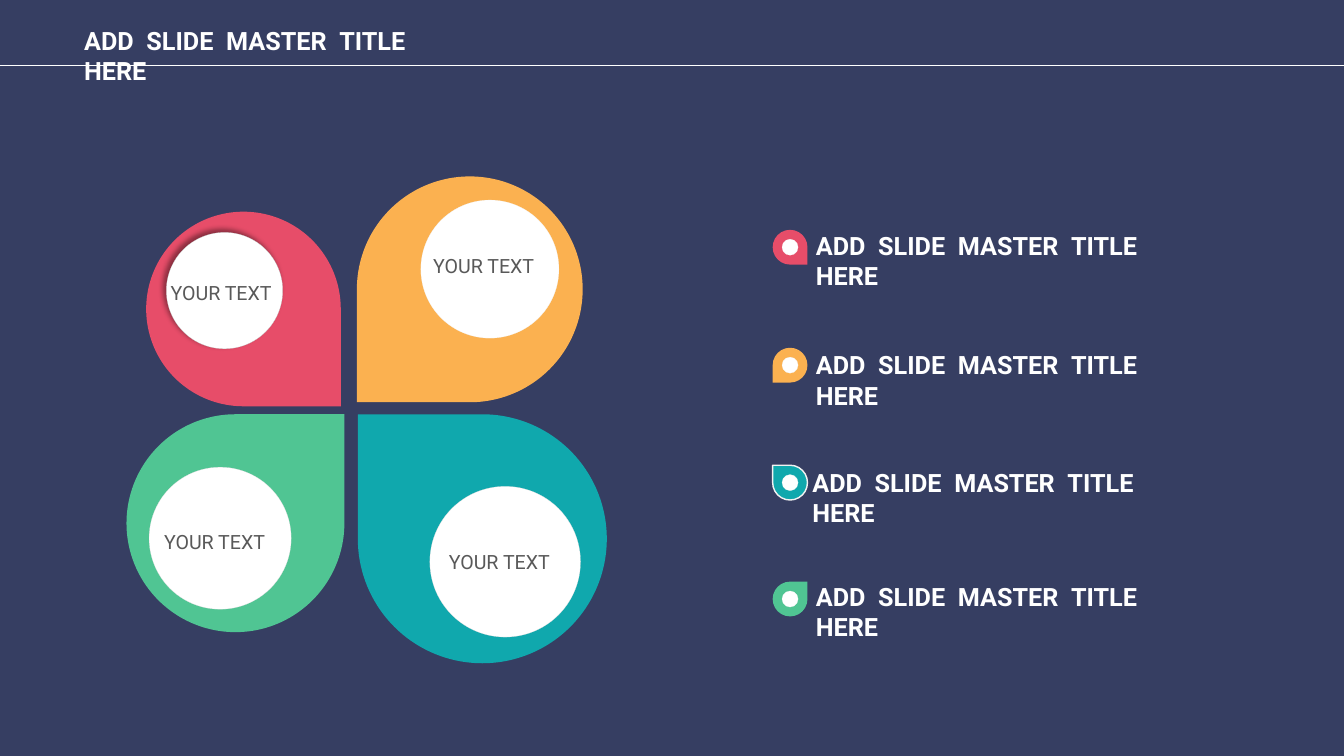
"""Build a four-petal infographic slide with a matching legend."""
import lxml.etree
import pptx
import pptx.dml.color
import pptx.enum.shapes
import pptx.enum.text
import pptx.oxml.ns
import pptx.util

Pt = pptx.util.Pt
RGBColor = pptx.dml.color.RGBColor
SHAPE = pptx.enum.shapes.MSO_SHAPE
ALIGN = pptx.enum.text.PP_ALIGN
ANCHOR = pptx.enum.text.MSO_ANCHOR
qn = pptx.oxml.ns.qn

NAVY = RGBColor(0x36, 0x3E, 0x62)
RED = RGBColor(0xE7, 0x4D, 0x69)
ORANGE = RGBColor(0xFB, 0xB1, 0x50)
TEAL = RGBColor(0x10, 0xA8, 0xAD)
GREEN = RGBColor(0x50, 0xC5, 0x93)
WHITE = RGBColor(0xFF, 0xFF, 0xFF)
GREY = RGBColor(0x59, 0x59, 0x59)
PALE = RGBColor(0xF2, 0xF2, 0xF2)
LIGHT = RGBColor(0xD9, 0xD9, 0xD9)
SILVER = RGBColor(0xBF, 0xBF, 0xBF)

HEADING = "ADD SLIDE MASTER TITLE HERE"
HEADING_FONT = {"name": "Roboto", "size": Pt(36), "bold": True}
LABEL_FONT = {"name": "Roboto", "size": Pt(28), "bold": False}
HEADING_SIZE = (570, 56)
LABEL_SIZE = (158, 48)
WORD_GAP = 9

POINT_TURN = {GREEN: 0, RED: 90, ORANGE: 180, TEAL: 270}
PETALS = [
    (GREEN, (180.7, 591.8, 311.3), (213, 667.4, 203), LIGHT, (227.5, 749.5)),
    (TEAL, (511.2, 591.8, 355.7), (614, 694.8, 215.3), LIGHT, (634.3, 778.3)),
    (RED, (208.8, 302.4, 278), (237.6, 332, 166.3), SILVER, (236.9, 394.6)),
    (ORANGE, (509.8, 252, 322.6), (601.2, 285.8, 197.3), PALE, (612, 355.7)),
]
MARKER_LEFT, MARKER_SIZE, DOT_SIZE = 1103.8, 49.7, 23
LEGEND = [
    (RED, 328.3, (1158.5, 321.8)),
    (ORANGE, 496.8, (1158.5, 492.5)),
    (TEAL, 664.6, (1153.4, 660.2)),
    (GREEN, 830.9, (1158.5, 823)),
]


def add_run(p, text, fmt, color):
    """Add one formatted run to a paragraph."""
    r = p.add_run()
    r.text = text
    for key, value in fmt.items():
        setattr(r.font, key, value)
    r.font.color.rgb = color
    return r


def prepare_frame(sp, wrap):
    """Set the insets, anchor and wrapping of a text shape."""
    tf = sp.text_frame
    settings = dict.fromkeys(
        ("margin_left", "margin_top", "margin_right", "margin_bottom"), Pt(7.2))
    settings.update(word_wrap=wrap, vertical_anchor=ANCHOR.TOP,
                    auto_size=pptx.enum.text.MSO_AUTO_SIZE.NONE)
    for key, value in settings.items():
        setattr(tf, key, value)
    return tf.paragraphs[0]


def write_heading(sp):
    """Write the heading with widened gaps between its words."""
    p = prepare_frame(sp, True)
    p.alignment = ALIGN.LEFT
    for i, word in enumerate(HEADING.split()):
        if i:
            r = add_run(p, " ", HEADING_FONT, WHITE)
            r.font._element.set("spc", str(WORD_GAP * 100))
        add_run(p, word, HEADING_FONT, WHITE)


def add_text_box(shapes, position, size):
    """Add an empty text box."""
    return shapes.add_textbox(*map(Pt, position + size))


def add_label(shapes, position):
    """Add the centred label of a petal."""
    p = prepare_frame(add_text_box(shapes, position, LABEL_SIZE), False)
    p.alignment = ALIGN.CENTER
    add_run(p, "YOUR TEXT", LABEL_FONT, GREY)


def add_figure(shapes, kind, box, fill, edge=None, width=0.25):
    """Add a square preset shape from its left, top and size."""
    x, y, size = map(Pt, box)
    sp = shapes.add_shape(kind, x, y, size, size)
    sp.shadow.inherit = False
    sp.fill.solid()
    sp.fill.fore_color.rgb = fill
    if edge is None:
        sp.line.fill.background()
    else:
        sp.line.color.rgb = edge
        sp.line.width = Pt(width)
    return sp


def add_drop(shapes, box, color, edge=None):
    """Add a teardrop turned to the corner of its colour."""
    sp = add_figure(shapes, SHAPE.TEAR, box, color, edge, 2)
    sp.rotation = POINT_TURN[color]


def add_shadow(sp):
    """Cast a soft shadow up and to the left."""
    effects = sp._element.spPr.find(qn("a:effectLst"))
    shadow = lxml.etree.SubElement(
        effects, qn("a:outerShdw"), blurRad=str(Pt(8)), dist=str(Pt(6)),
        dir=str(225 * 60000), rotWithShape="0")
    color = lxml.etree.SubElement(shadow, qn("a:srgbClr"), val="000000")
    lxml.etree.SubElement(color, qn("a:alpha"), val="40000")


def add_petal(s, color, drop, disc, edge, label):
    """Add a petal with its disc and label."""
    shapes = s.shapes.add_group_shape().shapes
    add_drop(shapes, drop, color)
    sp = add_figure(shapes, SHAPE.OVAL, disc, WHITE, edge)
    if color == RED:
        add_shadow(sp)
    add_label(shapes, label)


def add_legend_row(s, color, top, position):
    """Add a legend marker with its heading."""
    shapes = s.shapes.add_group_shape().shapes
    edge = PALE if color == TEAL else None
    add_drop(shapes, (MARKER_LEFT, top, MARKER_SIZE), color, edge)
    inset = (MARKER_SIZE - DOT_SIZE) / 2
    add_figure(shapes, SHAPE.OVAL, (MARKER_LEFT + inset, top + inset, DOT_SIZE),
               WHITE, PALE)
    write_heading(add_text_box(shapes, position, HEADING_SIZE))


def add_title(s):
    """Place the title and the rule behind it."""
    sp = s.shapes.title
    sp.left, sp.top, sp.width, sp.height = map(Pt, (113, 28.8) + HEADING_SIZE)
    write_heading(sp)
    rule = s.shapes.add_connector(
        pptx.enum.shapes.MSO_CONNECTOR.STRAIGHT, *map(Pt, (0, 92.9, 1920, 92.9)))
    rule.line.color.rgb = WHITE
    rule.line.width = Pt(1)
    lxml.etree.SubElement(rule._element.spPr, qn("a:effectLst"))
    sp._element.addprevious(rule._element)


def main():
    """Build and save the presentation."""
    prs = pptx.Presentation()
    prs.slide_width, prs.slide_height = Pt(1920), Pt(1080)
    s = prs.slides.add_slide(prs.slide_layouts[5])
    s.background.fill.solid()
    s.background.fill.fore_color.rgb = NAVY
    add_title(s)
    for petal in PETALS:
        add_petal(s, *petal)
    for row in LEGEND:
        add_legend_row(s, *row)
    prs.save("out.pptx")


if __name__ == "__main__":
    main()
